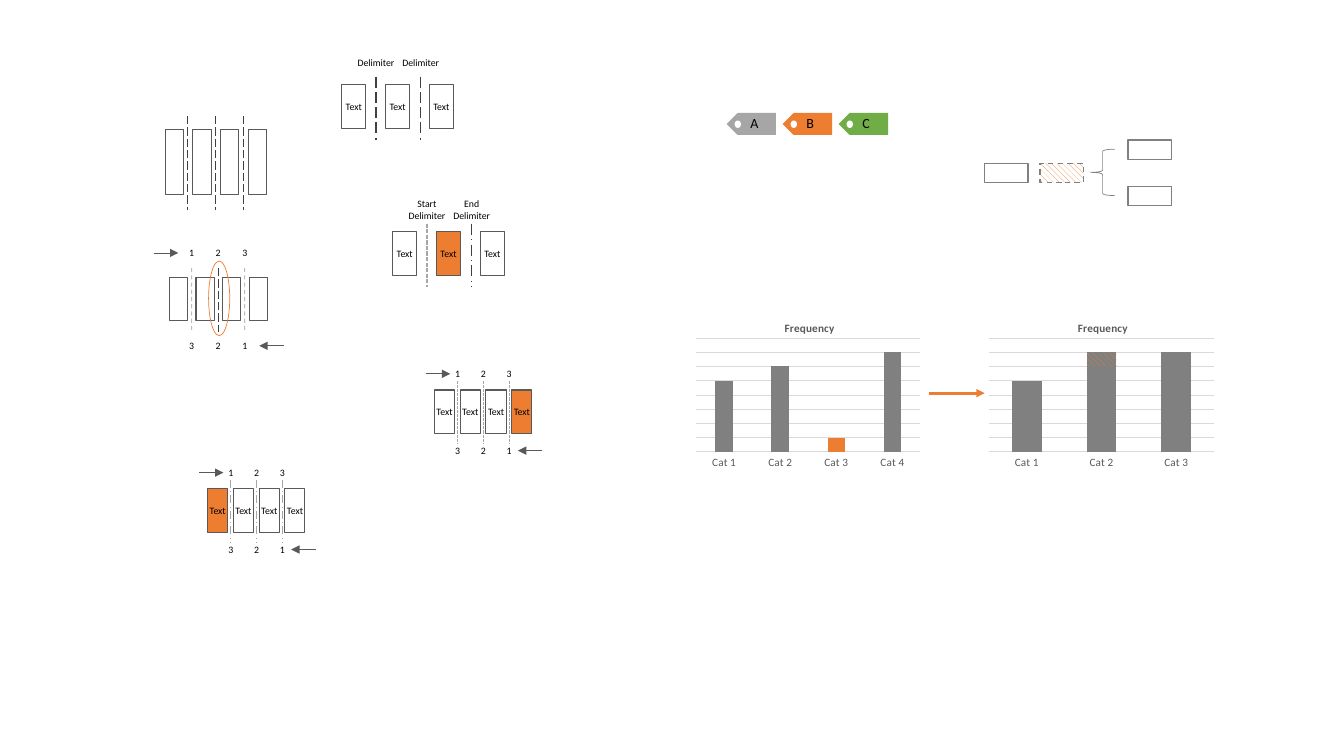
import pptx
import pptx.chart.data
import pptx.dml.color
import pptx.enum.chart
import pptx.enum.dml
import pptx.enum.shapes
import pptx.enum.text
import pptx.oxml.ns
import pptx.util
from lxml import etree

Pt = pptx.util.Pt
qn = pptx.oxml.ns.qn
SHAPES = pptx.enum.shapes.MSO_SHAPE
CHARTS = pptx.enum.chart.XL_CHART_TYPE
ALIGN = pptx.enum.text.PP_ALIGN
COLORS = {
    "white": "FFFFFF", "black": "000000", "outline": "595959", "dark": "404040",
    "gray": "808080", "light": "A6A6A6", "grid": "D9D9D9", "orange": "ED7D31",
    "green": "70AD47",
}


def color(name):
    """Look up a named colour."""
    return pptx.dml.color.RGBColor.from_string(COLORS[name])


def write_text(frame, text, size=7, align=ALIGN.CENTER, font="Calibri", ink="black"):
    """Fill a text frame, one paragraph for each line of text."""
    for index, line in enumerate(text.split("\n")):
        paragraph = frame.paragraphs[0] if index == 0 else frame.add_paragraph()
        paragraph.alignment = align
        run = paragraph.add_run()
        run.text = line
        run.font.size, run.font.name = Pt(size), font
        run.font.color.rgb = color(ink)


def set_pattern(fill, front, back):
    """Apply wide diagonal stripes to a fill."""
    fill.patterned()
    fill.pattern = pptx.enum.dml.MSO_PATTERN.WIDE_DOWNWARD_DIAGONAL
    fill.fore_color.rgb, fill.back_color.rgb = color(front), color(back)


def set_line(line, ink, width, dash=None, opacity=None, arrow=False):
    """Set colour, width, dash, opacity and arrowhead of a line."""
    line.color.rgb, line.width = color(ink), Pt(width)
    properties = line._get_or_add_ln()
    if opacity:
        value = properties.find(".//" + qn("a:srgbClr"))
        etree.SubElement(value, qn("a:alpha"), val=str(opacity * 1000))
    if dash:
        etree.SubElement(properties, qn("a:prstDash"), val=dash)
    if arrow:
        etree.SubElement(properties, qn("a:tailEnd"), type="triangle")


def set_layout(parent, position, **values):
    """Place a chart part by fractions of the chart area."""
    for old in parent.findall(qn("c:layout")):
        parent.remove(old)
    layout = etree.Element(qn("c:layout"))
    manual = etree.SubElement(layout, qn("c:manualLayout"))
    for name, value in values.items():
        etree.SubElement(manual, qn("c:" + name), val=str(value))
    parent.insert(position, layout)


class Canvas:
    """Holds the shared style and the current slide."""

    line_width = 0.75

    def __init__(self, slide):
        """Keep the slide to draw on."""
        self.slide = slide

    def shape(self, kind, left, top, width, height, fill=None, ink="outline",
              weight=line_width, dash=None, striped=False):
        """Add a preset shape."""
        shape = self.slide.shapes.add_shape(kind, Pt(left), Pt(top), Pt(width), Pt(height))
        shape.shadow.inherit = False
        if striped:
            set_pattern(shape.fill, "orange", "white")
        elif fill:
            shape.fill.solid()
            shape.fill.fore_color.rgb = color(fill)
        else:
            shape.fill.background()
        if ink:
            set_line(shape.line, ink, weight, dash)
        else:
            shape.line.fill.background()
        return shape

    def label(self, text, left, top, width, height, inset=0, **text_format):
        """Add an unwrapped, vertically centred text box."""
        box = self.slide.shapes.add_textbox(Pt(left), Pt(top), Pt(width), Pt(height))
        frame = box.text_frame
        frame.word_wrap = False
        frame.vertical_anchor = pptx.enum.text.MSO_ANCHOR.MIDDLE
        frame.margin_left, frame.margin_right = Pt(inset), Pt(0)
        frame.margin_top = frame.margin_bottom = Pt(0)
        write_text(frame, text, **text_format)

    def centered(self, text, x, y, width, height=16):
        """Add a label centred on a point."""
        self.label(text, x - width / 2, y - height / 2, width, height)

    def line(self, x1, y1, x2, y2, ink="dark", weight=line_width, **line_format):
        """Add a straight line or arrow."""
        connector = self.slide.shapes.add_connector(
            pptx.enum.shapes.MSO_CONNECTOR.STRAIGHT, Pt(x1), Pt(y1), Pt(x2), Pt(y2))
        set_line(connector.line, ink, weight, **line_format)
        etree.SubElement(connector._element.spPr, qn("a:effectLst"))

    def chart(self, kind, left, categories, series, gap, overlap):
        """Add a Frequency column chart and return its plot."""
        data = pptx.chart.data.CategoryChartData()
        data.categories = categories
        for name, values in series.items():
            data.add_series(name, values)
        chart = self.slide.shapes.add_chart(
            kind, Pt(left), Pt(218.9), Pt(167), Pt(119.5), data).chart
        chart.has_legend = False
        chart.font.name, chart.font.size = "Calibri", Pt(10)
        chart.has_title = True
        write_text(chart.chart_title.text_frame, "Frequency", size=8, ink="outline")
        set_layout(chart.chart_title._element, 1, xMode="edge", yMode="edge", x=0.39, y=0.07)
        set_layout(chart._chartSpace.find(".//" + qn("c:plotArea")), 0,
                   layoutTarget="inner", xMode="edge", yMode="edge",
                   x=0.02, y=0.19, w=0.96, h=0.68)
        axis = chart.category_axis
        axis.major_tick_mark = pptx.enum.chart.XL_TICK_MARK.NONE
        font = axis.tick_labels.font
        font.size, font.name, font.color.rgb = Pt(8), "Calibri", color("outline")
        set_line(axis.format.line, "grid", self.line_width)
        axis = chart.value_axis
        axis.visible, axis.has_major_gridlines = False, True
        axis.minimum_scale, axis.maximum_scale, axis.major_unit = 0, 800 / 7, 100 / 7
        set_line(axis.major_gridlines.format.line, "grid", self.line_width)
        plot = chart.plots[0]
        plot.gap_width, plot.overlap, plot.vary_by_categories = gap, overlap, False
        fill = plot.series[0].format.fill
        fill.solid()
        fill.fore_color.rgb = color("gray")
        return plot

    def cells(self, left, top, width, height, step, fills, text=None):
        """Add a row of cells, each with an optional caption."""
        for index, fill in enumerate(fills):
            x = left + index * step
            self.shape(SHAPES.RECTANGLE, x, top, width, height, fill)
            if text:
                self.centered(text, x + width / 2, top + height / 2, 29.5)

    def delimited(self, left, top, fills, names, styles):
        """Draw three text cells parted by two named delimiters."""
        self.cells(left, top, 17.3, 31, 31.3, fills, "Text")
        for index, (name, (ink, dash)) in enumerate(zip(names, styles)):
            x = left + 24.5 + index * 32
            self.line(x, top - 5.8, x, top + 39.6, ink, 1, dash=dash)
            self.centered(name, x, top - 16, 46, 16 + 8.5 * name.count("\n"))

    def numbered(self, left, top, width, step, fills, separators, text=None,
                 first=16.6, rise=11.6, gap=5.3):
        """Draw cells whose separators are counted from both ends."""
        self.cells(left, top, width, 31, step, fills, text)
        upper, lower = top - rise, top + 31 + rise + 0.7
        start, end = left + first, left + first + 2 * step
        for index, style in enumerate(separators):
            x = start + index * step
            self.line(x, top - 6.5, x, top + 38.9, **style)
            self.centered(str(index + 1), x, upper, 10)
            self.centered(str(3 - index), x, lower, 10)
        for edge, tip, y in ((start - gap - 17.5, start - gap, upper),
                             (end + gap + 18.5, end + gap + 1, lower)):
            self.line(edge, y, tip, y, "outline", 0.5, arrow=True)

    def tag(self, left, fill, letter):
        """Draw a coloured tag with a hole and a letter."""
        top = 80.6
        self.shape(SHAPES.PENTAGON, left, top, 35.3, 15.8, fill, None).rotation = 180
        self.shape(SHAPES.OVAL, left + 6.2, top + 6, 3.6, 4.3, "white", "white", 1)
        self.label(letter, left + 12, top - 2.3, 12.6, 19.4, inset=5, size=10, align=ALIGN.LEFT)


presentation = pptx.Presentation()
presentation.slide_width, presentation.slide_height = Pt(960), Pt(540)
canvas = Canvas(presentation.slides.add_slide(presentation.slide_layouts[6]))
plain = ["white"] * 3

canvas.cells(118.1, 92.2, 13, 46.8, 19.7, plain + ["white"])
for index in range(3):
    x = 134 + index * 19.8
    canvas.line(x, 82.8, x, 149.8, dash="lgDash")

canvas.delimited(244, 60.5, plain, ["Delimiter"] * 2, [("dark", "lgDash")] * 2)
canvas.delimited(280.4, 165.6, ["white", "orange", "white"],
                 ["Start\nDelimiter", "End\nDelimiter"],
                 [("light", "sysDash"), ("dark", "lgDashDot")])

faint = {"dash": "dash", "opacity": 35}
canvas.numbered(121, 198, 13, 19, plain + ["white"], [faint, {"dash": "lgDash"}, faint],
                first=15.8, rise=17.3, gap=9.4)
canvas.shape(SHAPES.OVAL, 149, 186.5, 15.1, 53.3, ink="orange", weight=0.5)
for left, top, fills, dash in ((310.3, 278.6, plain + ["orange"], "sysDash"),
                               (148.3, 349.2, ["orange"] + plain, "lgDashDot")):
    canvas.numbered(left, top, 14.4, 18.4, fills, [{"ink": "light", "dash": dash}] * 3, "Text")

for index, (letter, fill) in enumerate(zip("ABC", ("light", "orange", "green"))):
    canvas.tag(519 + index * 40, fill, letter)

plot = canvas.chart(CHARTS.COLUMN_CLUSTERED, 493.9, ["Cat 1", "Cat 2", "Cat 3", "Cat 4"],
                    {"Series 1": (71, 86, 14, 100)}, 219, -27)
rare_fill = plot.series[0].points[2].format.fill
rare_fill.solid()
rare_fill.fore_color.rgb = color("orange")
plot = canvas.chart(CHARTS.COLUMN_STACKED, 703.4, ["Cat 1", "Cat 2", "Cat 3"],
                    {"Series 1": (71, 86, 100), "Series 2": (0, 14, 0)}, 150, 100)
set_pattern(plot.series[1].format.fill, "orange", "gray")
canvas.line(663.8, 280.8, 703.4, 280.8, "orange", 2, arrow=True)

for left, top in ((703.4, 116.6), (805.7, 100.1), (805.7, 133.2)):
    canvas.shape(SHAPES.RECTANGLE, left, top, 31, 13.7, "white", "gray", 1)
canvas.shape(SHAPES.RECTANGLE, 743, 116.6, 31, 13.7, ink="gray", weight=1, dash="dash", striped=True)
canvas.shape(SHAPES.LEFT_BRACE, 779, 106.6, 17.3, 33.1, ink="gray", weight=0.5)
presentation.save("out.pptx")
